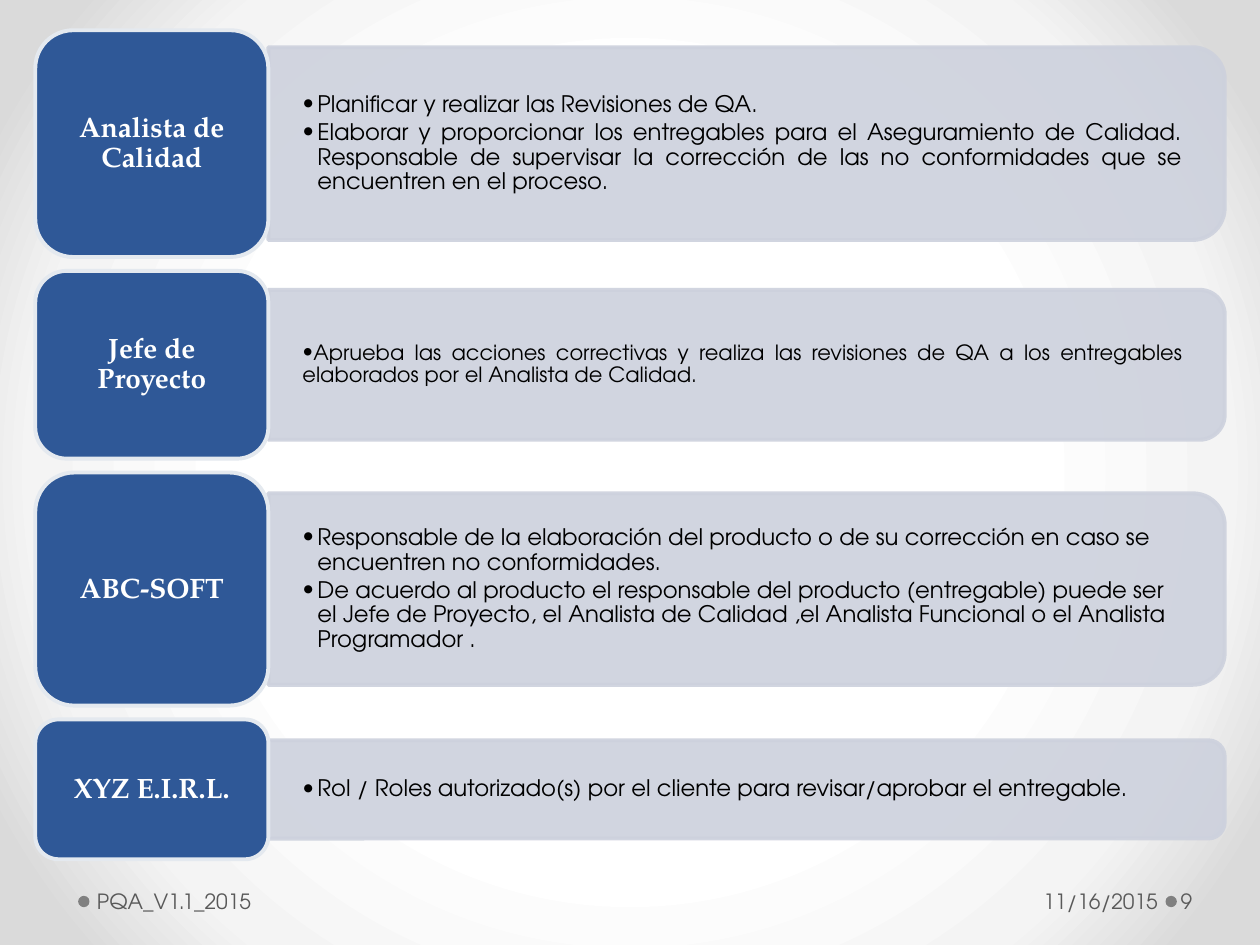
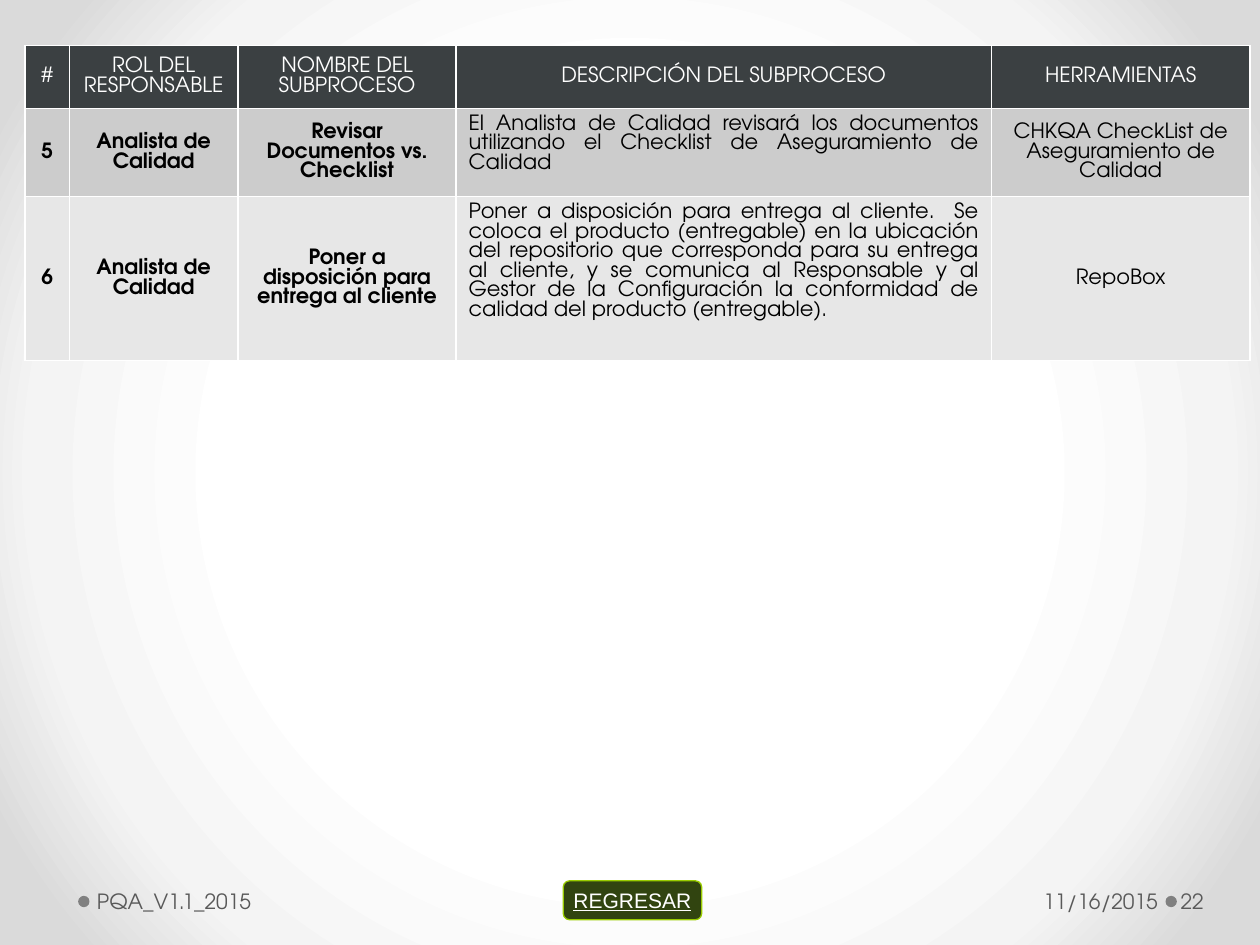
import dataclasses

import lxml.etree
import pptx
import pptx.dml.color
import pptx.enum.shapes
import pptx.enum.text
import pptx.oxml.ns
import pptx.util

Inches = pptx.util.Inches
Pt = pptx.util.Pt
Shape = pptx.enum.shapes.MSO_SHAPE
Align = pptx.enum.text.PP_ALIGN
Anchor = pptx.enum.text.MSO_ANCHOR
qn = pptx.oxml.ns.qn


@dataclasses.dataclass(frozen=True)
class Theme:
    """Colours, fonts and type sizes of the deck."""
    sans: str = "TeX Gyre Adventor"
    serif: str = "TeX Gyre Pagella"
    plain: str = "Arial"
    white: str = "FFFFFF"
    black: str = "000000"
    footer: str = "595959"
    dot: str = "808080"
    label: str = "2F5897"
    label_edge: str = "E4E9EF"
    bar: str = "CDD1DD"
    header: str = "3B4042"
    bands: tuple = ("CCCCCC", "E7E7E7")
    button: str = "314410"
    button_edge: str = "99CC00"
    backdrop: tuple = ((50, "FFFFFF"), (76, "F4F4F4"), (92, "DADADA"))
    small: int = 12
    body: int = 13
    title: int = 16


@dataclasses.dataclass(frozen=True)
class Box:
    """A rectangle in inches."""
    left: float
    top: float
    width: float
    height: float

    def lengths(self):
        """Give the four lengths that python-pptx expects."""
        return [Inches(value) for value in dataclasses.astuple(self)]


THEME = Theme()


def rgb(code):
    """Turn a hex code into a colour."""
    return pptx.dml.color.RGBColor.from_string(code)


def add_node(parent, tag, **values):
    """Append an XML element with the given attributes."""
    return lxml.etree.SubElement(parent, qn(tag), {key: str(value) for key, value in values.items()})


def apply(target, values):
    """Set each attribute named in a dict."""
    for name, value in values.items():
        setattr(target, name, value)


def write_text(frame, texts, font, color, para_format, margins=(0.1, 0.05, 0.1, 0.05), wrap=True):
    """Fill a text frame with equally formatted paragraphs."""
    sides = ("margin_left", "margin_top", "margin_right", "margin_bottom")
    apply(frame, dict(zip(sides, map(Inches, margins))))
    apply(frame, {"word_wrap": wrap, "vertical_anchor": Anchor.MIDDLE})
    for index, text in enumerate(texts):
        para = frame.paragraphs[0] if index == 0 else frame.add_paragraph()
        apply(para, para_format)
        span = para.add_run()
        span.text = text
        apply(span.font, font)
        span.font.color.rgb = rgb(color)


def add_text(page, box, texts, *args, **options):
    """Place a text box and return its frame."""
    frame = page.shapes.add_textbox(*box.lengths()).text_frame
    write_text(frame, texts, *args, **options)
    return frame


def add_shape(page, kind, box, fill, edge=None, weight=0):
    """Place a flat preset shape."""
    shape = page.shapes.add_shape(kind, *box.lengths())
    shape.shadow.inherit = False
    shape.fill.solid()
    shape.fill.fore_color.rgb = rgb(fill)
    if edge:
        shape.line.color.rgb = rgb(edge)
        shape.line.width = Pt(weight)
    else:
        shape.line.fill.background()
    return shape


def set_backdrop(deck):
    """Give the slide master its radial gradient."""
    master = deck.slide_master
    master.background.fill.gradient()
    gradient = master.element.find(".//" + qn("a:gradFill"))
    gradient.clear()
    stops = add_node(gradient, "a:gsLst")
    for position, color in THEME.backdrop:
        add_node(add_node(stops, "a:gs", pos=position * 1000), "a:srgbClr", val=color)
    radial = add_node(gradient, "a:path", path="circle")
    add_node(radial, "a:fillToRect", l=50000, t=50000, r=50000, b=50000)


def add_footer(page, box, number):
    """Place the document code, date and page number with their dots."""
    font = {"name": THEME.sans, "size": Pt(THEME.small)}
    for left in (0, 8.63):
        add_shape(page, Shape.OVAL, Box(box.left + left, box.top + 0.16, 0.09, 0.09), THEME.dot)
    parts = (
        (0.1, 3.96, "PQA_V1.1_2015", Align.LEFT, (0.05, 0.05, 0.1, 0.05)),
        (6.34, 2.28, "11/16/2015", Align.RIGHT, (0.1, 0.05, 0.05, 0.05)),
        (8.72, 0.61, str(number), Align.LEFT, (0.03, 0.05, 0.05, 0.05)),
    )
    for left, width, text, alignment, margins in parts:
        area = Box(box.left + left, box.top, width, box.height)
        add_text(page, area, [text], font, THEME.footer, {"alignment": alignment}, margins)


def new_page(deck, number):
    """Add a blank page with the shared footer."""
    page = deck.slides.add_slide(deck.slide_layouts[6])
    add_footer(page, Box(0.62, 6.95, 9.33, 0.4), number)
    return page


def add_bar(page, box):
    """Place a translucent bar rounded at its right end."""
    upright = Box(box.left + (box.width - box.height) / 2,
                  box.top + (box.height - box.width) / 2, box.height, box.width)
    bar = add_shape(page, Shape.ROUND_2_SAME_RECTANGLE, upright, THEME.bar, THEME.bar, 2.25)
    bar.rotation = 90
    for color in bar.element.spPr.iter(qn("a:srgbClr")):
        add_node(color, "a:alpha", val=90000)


def add_role(page, box, name, duties, bar_height, size, alignment, indent):
    """Place one role: its duties on a bar and its name in a label."""
    label_width = 1.85
    bar = Box(box.left + label_width, box.top + (box.height - bar_height) / 2,
              box.width - label_width, bar_height)
    add_bar(page, bar)
    frame = add_text(page, dataclasses.replace(bar, width=bar.width - 0.05 * bar_height), duties,
                     {"name": THEME.sans, "size": Pt(size)}, THEME.black,
                     {"alignment": alignment, "line_spacing": 0.9, "space_after": Pt(2)},
                     (0.27, 0.14, 0.27, 0.14))
    for para in frame.paragraphs:
        properties = para._p.get_or_add_pPr()
        properties.set("marL", str(Inches(indent)))
        properties.set("indent", str(-Inches(indent)))
        add_node(properties, "a:buFont", typeface=THEME.sans)
        add_node(properties, "a:buChar", char="•")
    label = add_shape(page, Shape.ROUNDED_RECTANGLE, dataclasses.replace(box, width=label_width),
                      THEME.label, THEME.label_edge, 2.25)
    write_text(label.text_frame, [name],
               {"name": THEME.serif, "size": Pt(THEME.title), "bold": True}, THEME.white,
               {"alignment": Align.CENTER, "line_spacing": 0.9}, (0.07, 0.03, 0.07, 0.03))


def add_roles(page, box, roles, gap=0.11):
    """Stack the roles from the top of the box with equal gaps."""
    top = box.top
    for height, *details in roles:
        add_role(page, Box(box.left, top, box.width, height), *details)
        top += height + gap


def style_cell(cell, text, fill, color, bold, alignment):
    """Write one table cell with its fill and white borders."""
    write_text(cell.text_frame, [text],
               {"name": THEME.sans, "size": Pt(THEME.small), "bold": bold}, color,
               {"alignment": alignment})
    justified = alignment == Align.JUSTIFY
    cell.vertical_anchor = Anchor.TOP if justified else Anchor.MIDDLE
    properties = cell._tc.get_or_add_tcPr()
    for side in "LRTB":
        line = add_node(properties, f"a:ln{side}", w=Pt(1))
        add_node(add_node(line, "a:solidFill"), "a:srgbClr", val=THEME.white)
    cell.fill.solid()
    cell.fill.fore_color.rgb = rgb(fill)


def add_process_table(page, box, widths, heights, rows):
    """Place the table of subprocesses under a dark header."""
    table = page.shapes.add_table(len(rows), len(widths), *box.lengths()).table
    table.horz_banding = False
    for column, width in zip(table.columns, widths):
        column.width = Inches(width)
    for index, (row, height, texts) in enumerate(zip(table.rows, heights, rows)):
        row.height = Inches(height)
        header = index == 0
        fill = THEME.header if header else THEME.bands[index - 1]
        color = THEME.white if header else THEME.black
        for position, (cell, text) in enumerate(zip(row.cells, texts)):
            description = position == 3 and not header
            style_cell(cell, text, fill, color, not header and position < 3,
                       Align.JUSTIFY if description else Align.CENTER)


def add_return_button(page, box):
    """Place the green return button."""
    button = add_shape(page, Shape.FLOWCHART_ALTERNATE_PROCESS, box,
                       THEME.button, THEME.button_edge, 0.75)
    write_text(button.text_frame, ["REGRESAR"],
               {"name": THEME.plain, "size": Pt(THEME.small), "underline": True}, THEME.white,
               {"alignment": Align.CENTER}, wrap=False)


ROLES = (
    (1.8, "Analista de Calidad",
     ("Planificar y realizar las Revisiones de QA.",
      "Elaborar y proporcionar los entregables para el Aseguramiento de Calidad. Responsable de "
      "supervisar la corrección de las no conformidades que se encuentren en el proceso."),
     1.53, THEME.body, Align.JUSTIFY, 0.12),
    (1.49, "Jefe de Proyecto",
     ("Aprueba las acciones correctivas y realiza las revisiones de QA a los entregables "
      "elaborados por el Analista de Calidad.",),
     1.19, THEME.small, Align.JUSTIFY, 0),
    (1.85, "ABC-SOFT",
     ("Responsable de la elaboración del producto o de su corrección en caso se encuentren "
      "no conformidades.",
      "De acuerdo al producto el responsable del producto (entregable) puede ser el Jefe de "
      "Proyecto, el Analista de Calidad ,el Analista Funcional o el Analista Programador ."),
     1.52, THEME.body, Align.LEFT, 0.12),
    (1.11, "XYZ E.I.R.L.",
     ("Rol / Roles autorizado(s) por el cliente para revisar/aprobar el entregable.",),
     0.78, THEME.body, Align.LEFT, 0.12),
)

PROCESSES = (
    ("#", "ROL DEL RESPONSABLE", "NOMBRE DEL SUBPROCESO", "DESCRIPCIÓN DEL SUBPROCESO",
     "HERRAMIENTAS"),
    ("5", "Analista de Calidad", "Revisar Documentos vs. Checklist",
     "El Analista de Calidad revisará los documentos utilizando el Checklist de Aseguramiento "
     "de Calidad",
     "CHKQA CheckList de Aseguramiento de Calidad"),
    ("6", "Analista de Calidad", "Poner a disposición para entrega al cliente",
     "Poner a disposición para entrega al cliente.  Se coloca el producto (entregable) en la "
     "ubicación del repositorio que corresponda para su entrega al cliente, y se comunica al "
     "Responsable y al Gestor de la Configuración la conformidad de calidad del producto "
     "(entregable).",
     "RepoBox"),
)


def build():
    """Build and save the deck."""
    deck = pptx.Presentation()
    apply(deck, {"slide_width": Inches(10), "slide_height": Inches(7.5)})
    set_backdrop(deck)
    add_roles(new_page(deck, 9), Box(0.28, 0.24, 9.44, 6.58), ROLES)
    page = new_page(deck, 22)
    add_process_table(page, Box(0.2, 0.36, 9.72, 2.18), (0.35, 1.34, 1.73, 4.25, 2.05),
                      (0.48, 0.67, 1.02), PROCESSES)
    add_return_button(page, Box(4.47, 6.99, 1.1, 0.31))
    deck.save("out.pptx")


build()
